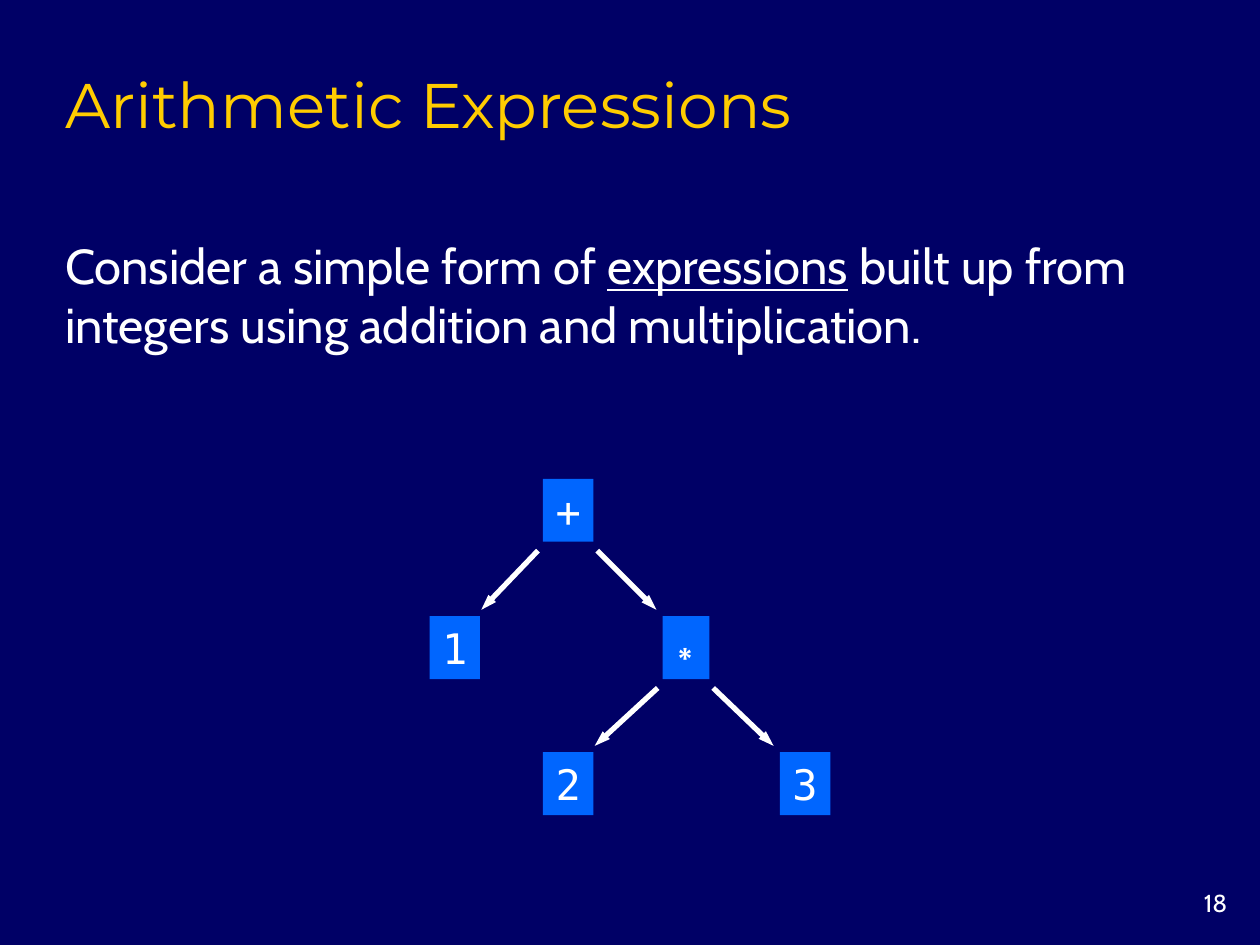
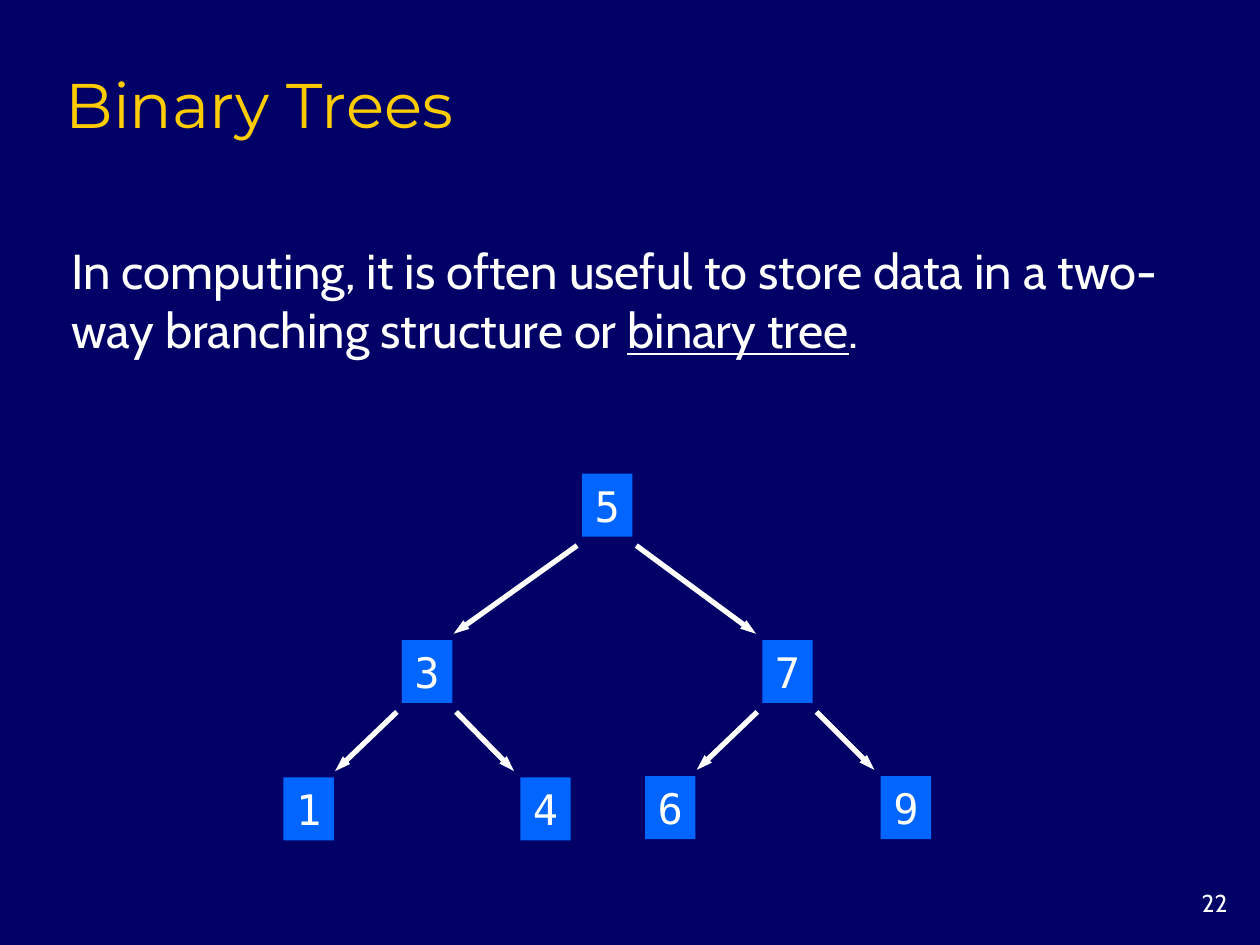
from lxml.etree import SubElement
from pptx import Presentation
from pptx.dml.color import RGBColor as Rgb
from pptx.enum.shapes import MSO_CONNECTOR as Line, MSO_SHAPE as Shape
from pptx.enum.text import MSO_ANCHOR as Anchor, PP_ALIGN as Align
from pptx.oxml.ns import qn
from pptx.util import Inches, Pt

HUES = {"back": "000066", "title": "FFCC00", "text": "FFFFFF", "node": "0066FF"}
FONTS = {"title": "Montserrat", "body": "Cabin", "code": "DejaVu Sans Mono", "sign": "Arial"}


def hue(name):
    """Return the named colour."""
    return Rgb.from_string(HUES[name])


def write(shape, text, size=28, font="body", color="text", align=Align.LEFT,
          anchor=Anchor.MIDDLE, wrap=True):
    """Fill a shape with text, underlining what stands between underscores."""
    frame = shape.text_frame
    frame.word_wrap = wrap
    frame.vertical_anchor = anchor
    par = frame.paragraphs[0]
    par.alignment = align
    for i, part in enumerate(text.split("_")):
        run = par.add_run()
        run.text = part
        run.font.size = Pt(size)
        run.font.name = FONTS[font]
        run.font.color.rgb = hue(color)
        run.font.underline = i % 2 == 1


class Deck:
    """Hold the shared style and the current slide."""

    def __init__(self):
        """Start a deck with a dark background."""
        self.prs = Presentation()
        self.prs.slide_width = Inches(10)
        self.prs.slide_height = Inches(7.5)
        fill = self.prs.slide_master.background.fill
        fill.solid()
        fill.fore_color.rgb = hue("back")

    def page(self, title, num):
        """Add a slide with its title and page number."""
        self.slide = self.prs.slides.add_slide(self.prs.slide_layouts[5])
        head = self.slide.shapes.title
        head.left, head.top = Inches(0.42), Inches(0.42)
        head.width, head.height = Inches(8.5), Inches(0.75)
        write(head, title, size=36, font="title", color="title", anchor=Anchor.BOTTOM)
        self.text(num, 9.17, 7, 0.67, 0.33, size=14, align=Align.RIGHT, anchor=Anchor.TOP)

    def text(self, text, x, y, w, h, **style):
        """Add a text box."""
        box = self.slide.shapes.add_textbox(Inches(x), Inches(y), Inches(w), Inches(h))
        write(box, text, **style)

    def node(self, label, x, y, w=0.4, font="code"):
        """Add a tree node."""
        box = self.slide.shapes.add_shape(
            Shape.RECTANGLE, Inches(x), Inches(y), Inches(w), Inches(0.5))
        box.shadow.inherit = False
        box.fill.solid()
        box.fill.fore_color.rgb = hue("node")
        box.line.fill.background()
        write(box, label, size=24, font=font, align=Align.CENTER, wrap=False)
        return box

    def arrow(self, top, low):
        """Point from a parent node to the facing corner of its child."""
        if low.left < top.left:
            start = top.left - Inches(0.04)
            end = low.left + low.width + Inches(0.01)
        else:
            start = top.left + top.width + Inches(0.03)
            end = low.left - Inches(0.05)
        link = self.slide.shapes.add_connector(
            Line.STRAIGHT, start, top.top + top.height + Inches(0.07),
            end, low.top - Inches(0.05))
        link.line.color.rgb = hue("text")
        link.line.width = Pt(3)
        SubElement(link.line._get_or_add_ln(), qn("a:tailEnd"), type="triangle", w="sm")
        SubElement(link._element.spPr, qn("a:effectLst"))

    def tree(self, root, *kids):
        """Draw a node and, below it, its subtrees."""
        top = self.node(**root)
        for kid in kids:
            self.arrow(top, self.tree(*kid))
        return top


def leaf(label, x, y, **style):
    """Describe one tree node."""
    return dict(label=label, x=x, y=y, **style)


def main():
    """Build and save the slides."""
    deck = Deck()
    deck.page("Arithmetic Expressions", "18")
    deck.text("Consider a simple form of _expressions_ built up from integers "
              "using addition and multiplication.", 0.42, 1.59, 9.1, 1.5)
    deck.tree(leaf("+", 4.31, 3.8),
              [leaf("1", 3.41, 4.89)],
              [leaf("∗", 5.26, 4.89, w=0.37, font="sign"),
               [leaf("2", 4.31, 5.97)], [leaf("3", 6.19, 5.97)]])

    deck.page("Binary Trees", "22")
    deck.text("In computing, it is often useful to store data in a two-way "
              "branching structure or _binary tree_.", 0.47, 1.63, 8.96, 1.5)
    deck.tree(leaf("5", 4.62, 3.76),
              [leaf("3", 3.19, 5.08), [leaf("1", 2.25, 6.17)], [leaf("4", 4.13, 6.17)]],
              [leaf("7", 6.05, 5.08), [leaf("6", 5.12, 6.16)], [leaf("9", 6.99, 6.16)]])
    deck.prs.save("out.pptx")


if __name__ == "__main__":
    main()
